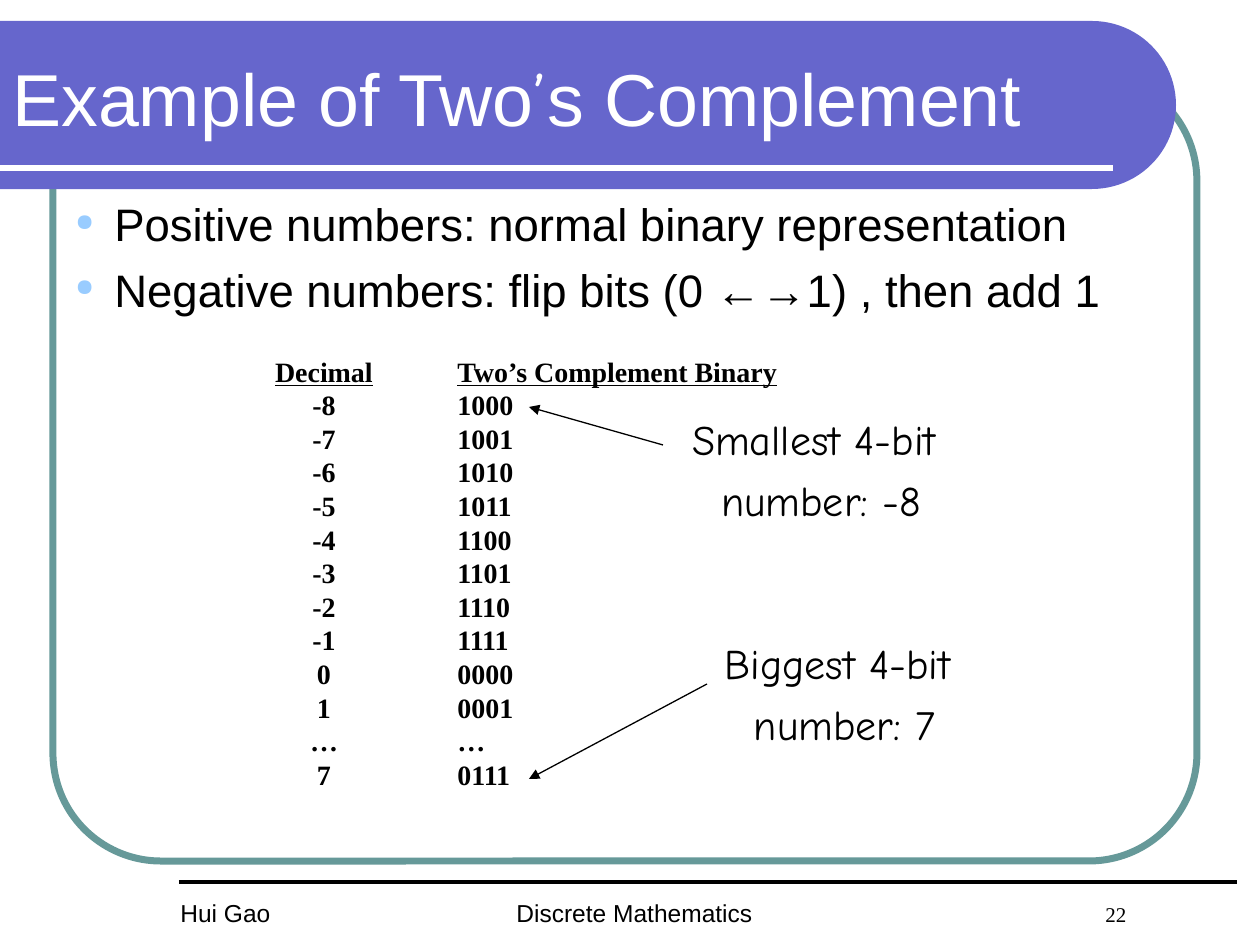
from math import cos, pi, sin

from lxml.etree import SubElement
from pptx import Presentation
from pptx.dml.color import RGBColor
from pptx.enum.shapes import MSO_CONNECTOR, MSO_SHAPE
from pptx.enum.text import MSO_ANCHOR, PP_ALIGN
from pptx.oxml.ns import qn
from pptx.util import Pt

EMU_PER_PX = 914400 / 126
BLACK = RGBColor(0x00, 0x00, 0x00)
WHITE = RGBColor(0xFF, 0xFF, 0xFF)
VIOLET = RGBColor(0x66, 0x66, 0xCC)
TEAL = RGBColor(0x66, 0x99, 0x99)
BULLET_BLUE = RGBColor(0x99, 0xCC, 0xFF)
SANS, SERIF, HAND = "Arial", "Times New Roman", "Comic Neue"

DECIMALS = [str(n) for n in range(-8, 2)] + ["…", "7"]
BINARIES = [f"{n % 16:04b}" for n in range(-8, 2)] + ["…", "0111"]


def px(length):
    return round(length * EMU_PER_PX)


def style(run, font_name, size, color=BLACK):
    run.font.name = font_name
    run.font.size = Pt(size)
    run.font.color.rgb = color


def add_text(slide, box, lines, font_name, size, align=PP_ALIGN.LEFT, gap=0, wrap=True):
    """Place one paragraph per line; gap is the space in points between them."""
    frame = slide.shapes.add_textbox(*map(px, box)).text_frame
    frame.word_wrap = wrap
    frame.text = "\n".join(lines)
    for index, paragraph in enumerate(frame.paragraphs):
        paragraph.alignment = align
        if index:
            paragraph.space_before = Pt(gap)
        for run in paragraph.runs:
            style(run, font_name, size)
    return frame


def add_line(slide, start, end, color, width, arrow=False):
    line = slide.shapes.add_connector(MSO_CONNECTOR.STRAIGHT, *map(px, start + end))
    line.line.color.rgb = color
    line.line.width = Pt(width)
    if arrow:
        SubElement(line.line._get_or_add_ln(), qn("a:tailEnd"), type="triangle")
    SubElement(line._element.spPr, qn("a:effectLst"))


def add_frame(slide, box):
    outline = slide.shapes.add_shape(MSO_SHAPE.ROUNDED_RECTANGLE, *map(px, box))
    outline.adjustments[0] = 0.137
    outline.fill.background()
    outline.line.color.rgb = TEAL
    outline.line.width = Pt(4)
    outline.shadow.inherit = False


def add_banner(slide, left, top, width, height):
    """Band with a half-round right end, an underline and the title."""
    radius = height / 2
    center_x, center_y = left + width - radius, top + radius
    steps = 48
    arc = [(center_x + radius * cos(angle), center_y + radius * sin(angle))
           for angle in (pi * (step / steps - 0.5) for step in range(steps + 1))]
    builder = slide.shapes.build_freeform(px(left), px(top))
    builder.add_line_segments([(px(x), px(y)) for x, y in arc + [(left, top + height)]])
    band = builder.convert_to_shape()
    band.fill.solid()
    band.fill.fore_color.rgb = VIOLET
    band.line.fill.background()
    band.shadow.inherit = False

    underline_y = top + height - 21
    add_line(slide, (left, underline_y), (left + width - 63, underline_y), WHITE, 3)

    title = add_text(slide, (left, top + 32, 1260, 88), [""], SANS, 42)
    title.vertical_anchor = MSO_ANCHOR.MIDDLE
    for words, font_name in (("Example of Two", SANS), ("’", HAND), ("s Complement", SANS)):
        run = title.paragraphs[0].add_run()
        run.text = words
        style(run, font_name, 42, WHITE)


def add_rules(slide, box):
    rules = ["Positive numbers: normal binary representation",
             "Negative numbers: flip bits (0 ←→1) , then add 1"]
    for paragraph in add_text(slide, box, rules, SANS, 26, gap=6.5).paragraphs:
        properties = paragraph._p.get_or_add_pPr()
        properties.set("marL", str(px(102)))
        properties.set("indent", str(px(-39)))
        bullet_color = SubElement(properties, qn("a:buClr"))
        SubElement(bullet_color, qn("a:srgbClr"), val=str(BULLET_BLUE))
        SubElement(properties, qn("a:buSzPct"), val="52000")
        SubElement(properties, qn("a:buChar"), char="●")


def add_number_column(slide, box, heading, numbers, align):
    column = add_text(slide, box, [heading] + numbers, SERIF, 16, align, wrap=False)
    for paragraph in column.paragraphs:
        paragraph.runs[0].font.bold = True
    column.paragraphs[0].runs[0].font.underline = True


def add_conversion(slide, left, top):
    """Both number columns and the notes that point at their extremes."""
    add_number_column(slide, (left - 14, top, 150, 449), "Decimal", DECIMALS, PP_ALIGN.CENTER)
    add_number_column(slide, (left + 182, top, 360, 449), "Two’s Complement Binary",
                      BINARIES, PP_ALIGN.LEFT)
    notes = [
        ((407, 59, 302, 125), ["Smallest 4-bit ", "number: -8"], (400, 97), (266, 59)),
        ((439, 283, 285, 125), ["Biggest 4-bit ", "number: 7"], (444, 336), (266, 431)),
    ]
    for (x, y, width, height), lines, start, end in notes:
        add_text(slide, (left + x, top + y, width, height), lines, HAND, 24,
                 PP_ALIGN.CENTER, gap=6, wrap=False)
        add_line(slide, (left + start[0], top + start[1]), (left + end[0], top + end[1]),
                 BLACK, 0.75, arrow=True)


def add_footer(slide, left, top, width):
    add_line(slide, (left + 11, top), (left + width, top), BLACK, 2.25)
    add_text(slide, (left, top + 10, 242, 43), ["Hui Gao"], SANS, 14)
    add_text(slide, (left + 336, top + 10, 400, 43), ["Discrete Mathematics"], SANS, 14)
    add_text(slide, (left + 925, top + 13, 80, 40), ["22"], SERIF, 12)


def main():
    deck = Presentation()
    deck.slide_width, deck.slide_height = px(1260), px(945)
    slide = deck.slides.add_slide(deck.slide_layouts[6])
    add_frame(slide, (53, 73, 1144, 788))
    add_banner(slide, 0, 21, 1176, 168)
    add_rules(slide, (0, 190, 1137, 209))
    add_conversion(slide, 263, 348)
    add_footer(slide, 168, 882, 1069)
    deck.save("out.pptx")


if __name__ == "__main__":
    main()
